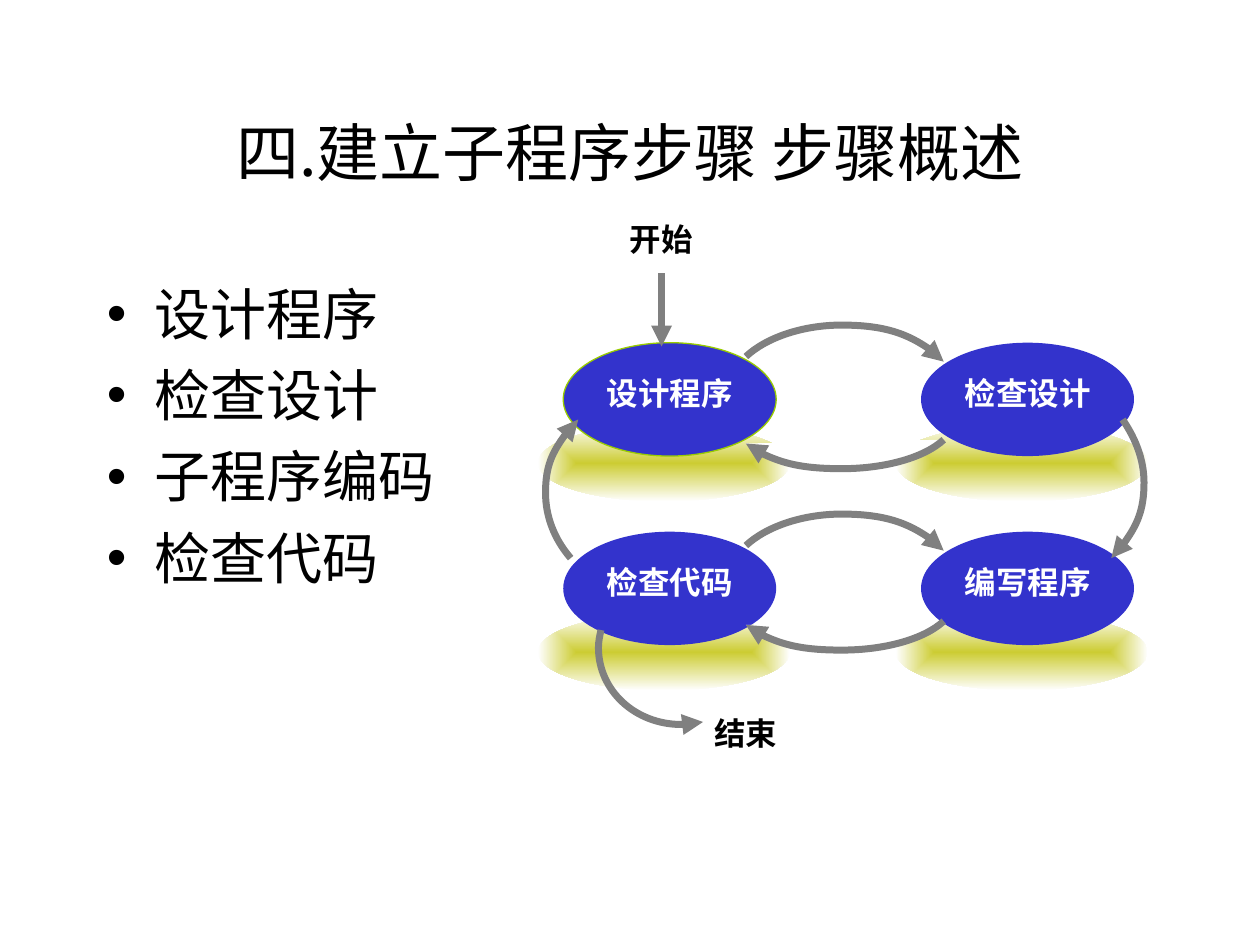
from lxml.etree import SubElement
from pptx import Presentation
from pptx.dml.color import RGBColor
from pptx.enum.shapes import MSO_CONNECTOR, MSO_SHAPE
from pptx.enum.text import MSO_ANCHOR, MSO_AUTO_SIZE, PP_ALIGN
from pptx.oxml.ns import qn
from pptx.util import Inches, Pt

ELLIPSE = MSO_SHAPE.OVAL
STRAIGHT = MSO_CONNECTOR.STRAIGHT
MIDDLE, TOP = MSO_ANCHOR.MIDDLE, MSO_ANCHOR.TOP
CENTER, LEFT = PP_ALIGN.CENTER, PP_ALIGN.LEFT
NO_AUTOFIT = MSO_AUTO_SIZE.NONE

BLACK = RGBColor(0, 0, 0)
WHITE = RGBColor(0xFF, 0xFF, 0xFF)
BLUE = RGBColor(0x33, 0x33, 0xCC)
OLIVE = RGBColor(0xCC, 0xCC, 0x33)
GREEN = RGBColor(0x99, 0xCC, 0x00)
GRAY = RGBColor(0x80, 0x80, 0x80)

CJK_FONT = "Noto Sans CJK SC"
TITLE_FONT = {"size": Pt(36), "name": CJK_FONT, "bold": False}
BULLET_FONT = {"size": Pt(32), "name": CJK_FONT, "bold": False}
LABEL_FONT = {"size": Pt(18), "name": "Arial", "bold": True}

STAGES = [
    ("检查设计", 1, 0, None),
    ("编写程序", 1, 1, None),
    ("设计程序", 0, 0, GREEN),
    ("检查代码", 0, 1, None),
]
UPPER_ARC = [(1.67, 1.08), (1.83, 0.93), (2.12, 0.83), (2.43, 0.83),
             (2.78, 0.83), (3.09, 0.95), (3.24, 1.12)]
LOWER_ARC = [(3.24, 1.74), (3.09, 1.88), (2.78, 1.97), (2.43, 1.97),
             (2.12, 1.97), (1.83, 1.9), (1.67, 1.77)]
LEFT_ARC = [(0.28, 2.68), (0.15, 2.53), (0.08, 2.35), (0.08, 2.16),
            (0.08, 1.95), (0.17, 1.75), (0.34, 1.58)]
RIGHT_ARC = [(4.66, 1.58), (4.77, 1.74), (4.83, 1.91), (4.83, 2.08),
             (4.83, 2.3), (4.74, 2.51), (4.57, 2.68)]
END_ARC = [(0.52, 3.25), (0.51, 3.3), (0.5, 3.34), (0.5, 3.39),
           (0.5, 3.73), (0.79, 4), (1.16, 4),
           (1.22, 4), (1.28, 3.99), (1.33, 3.98)]
ARCS = [
    (LEFT_ARC, 0, False),
    (RIGHT_ARC, 0, False),
    (UPPER_ARC, 0, True),
    (UPPER_ARC, 1.5, True),
    (LOWER_ARC, 1.44, True),
    (LOWER_ARC, 0, True),
    (END_ARC, 0, False),
]


def write(paragraph, text, font_values, color, alignment):
    paragraph.alignment = alignment
    run = paragraph.add_run()
    run.text = text
    for name, value in font_values.items():
        setattr(run.font, name, value)
    run.font.color.rgb = color
    if font_values["name"] == CJK_FONT:
        SubElement(run.font._element, qn("a:ea"), typeface=CJK_FONT)


def add_title(slide, left, top, width, height):
    title = slide.shapes.title
    title.left, title.top = Inches(left), Inches(top)
    title.width, title.height = Inches(width), Inches(height)
    title.text_frame.auto_size = NO_AUTOFIT
    title.text_frame.vertical_anchor = MIDDLE
    write(title.text_frame.paragraphs[0], "四.建立子程序步骤 步骤概述",
          TITLE_FONT, BLACK, CENTER)


def add_bullets(slide, left, top, width, height):
    box = slide.shapes.add_textbox(
        Inches(left), Inches(top), Inches(width), Inches(height))
    frame = box.text_frame
    frame.word_wrap = True
    frame.vertical_anchor = TOP
    items = ["设计程序", "检查设计", "子程序编码", "检查代码"]
    for index, item in enumerate(items):
        paragraph = frame.add_paragraph() if index else frame.paragraphs[0]
        write(paragraph, item, BULLET_FONT, BLACK, LEFT)
        paragraph.space_before = Pt(8)
        properties = paragraph._p.get_or_add_pPr()
        properties.set("marL", str(Inches(0.38)))
        properties.set("indent", str(-Inches(0.38)))
        SubElement(properties, qn("a:buFont"), typeface="Arial")
        SubElement(properties, qn("a:buChar"), char="•")


def add_label(slide, text, left, top, width, height, color, inset=0):
    box = slide.shapes.add_textbox(
        Inches(left), Inches(top), Inches(width), Inches(height))
    frame = box.text_frame
    frame.word_wrap = inset > 0
    for side in ("left", "right"):
        setattr(frame, f"margin_{side}", Inches(inset))
    for side in ("top", "bottom"):
        setattr(frame, f"margin_{side}", Inches(inset / 2))
    write(frame.paragraphs[0], text, LABEL_FONT, color, CENTER)


def add_ellipse(slide, left, top, width, height):
    ellipse = slide.shapes.add_shape(
        ELLIPSE, Inches(left), Inches(top), Inches(width), Inches(height))
    ellipse.shadow.inherit = False
    ellipse.line.fill.background()
    return ellipse


def add_stage(slide, text, left, top, outline):
    glow = add_ellipse(slide, left, top + 0.65, 2, 0.61)
    glow.fill.gradient()
    for stop, color in zip(glow.fill.gradient_stops, (OLIVE, WHITE)):
        stop.color.rgb = color
    gradient = glow._element.spPr.find(qn("a:gradFill"))
    gradient.remove(gradient.find(qn("a:lin")))
    center = SubElement(gradient, qn("a:path"), {"path": "rect"})
    SubElement(center, qn("a:fillToRect"),
               dict.fromkeys("ltrb", "50000"))

    ellipse = add_ellipse(slide, left + 0.2, top, 1.69, 0.9)
    ellipse.fill.solid()
    ellipse.fill.fore_color.rgb = BLUE
    if outline:
        ellipse.line.color.rgb = outline
        ellipse.line.width = Pt(0.75)
    add_label(slide, text, left + 0.22, top + 0.2, 1.65, 0.4, WHITE, 0.1)


def format_arrow(shape):
    shape.line.color.rgb = GRAY
    shape.line.width = Pt(4)
    line = shape._element.spPr.find(qn("a:ln"))
    SubElement(line, qn("a:tailEnd"), type="triangle")


def add_arc(slide, points, left, top, filled):
    start, *others = [(Inches(left + x), Inches(top + y)) for x, y in points]
    builder = slide.shapes.build_freeform(*start, scale=1.0)
    builder.add_line_segments(others, close=False)
    arc = builder.convert_to_shape()
    arc.shadow.inherit = False
    if filled:
        arc.fill.solid()
        arc.fill.fore_color.rgb = WHITE
    else:
        arc.fill.background()
    outline = next(arc._element.iter(qn("a:path")))
    segments = outline.findall(qn("a:lnTo"))
    for index in range(0, len(segments), 3):
        curve = SubElement(outline, qn("a:cubicBezTo"))
        for segment in segments[index:index + 3]:
            curve.append(segment[0])
            outline.remove(segment)
    format_arrow(arc)


def add_cycle(slide, left, top):
    for text, column, row, outline in STAGES:
        add_stage(slide, text, left + 0.02 + 2.84 * column,
                  top + 0.97 + 1.5 * row, outline)
    for points, drop, filled in ARCS:
        add_arc(slide, points, left, top + drop, filled)
    start = slide.shapes.add_connector(
        STRAIGHT, Inches(left + 1), Inches(top + 0.42),
        Inches(left + 1), Inches(top + 1))
    format_arrow(start)
    SubElement(start._element.spPr, qn("a:effectLst"))
    add_label(slide, "开始", left + 0.75, top, 0.5, 0.3, BLACK)
    add_label(slide, "结束", left + 1.42, top + 3.92, 0.5, 0.3, BLACK)


def main():
    presentation = Presentation()
    presentation.slide_width = Inches(10)
    presentation.slide_height = Inches(7.5)
    slide = presentation.slides.add_slide(presentation.slide_layouts[5])
    add_title(slide, 0.75, 0.58, 8.5, 1.25)
    add_bullets(slide, 0.75, 2.17, 4.75, 4.5)
    add_cycle(slide, 4.25, 1.75)
    presentation.save("out.pptx")


if __name__ == "__main__":
    main()
